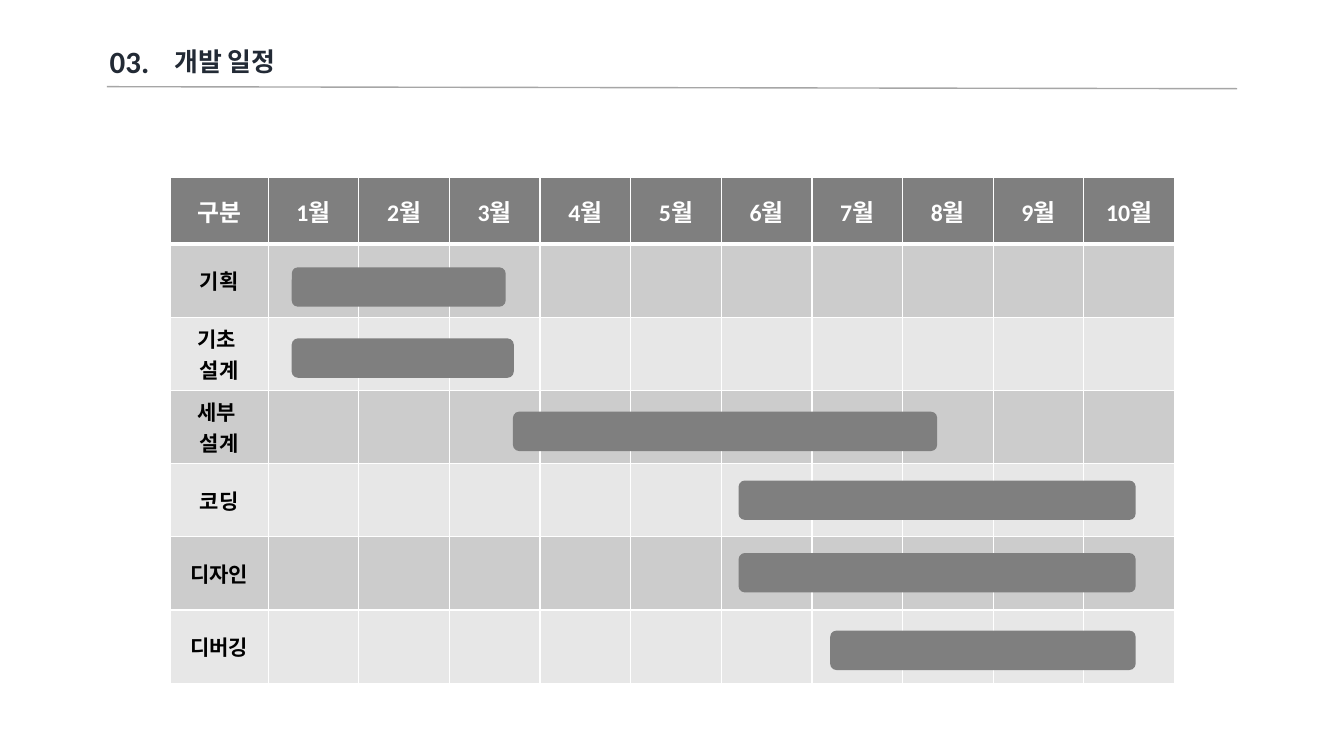
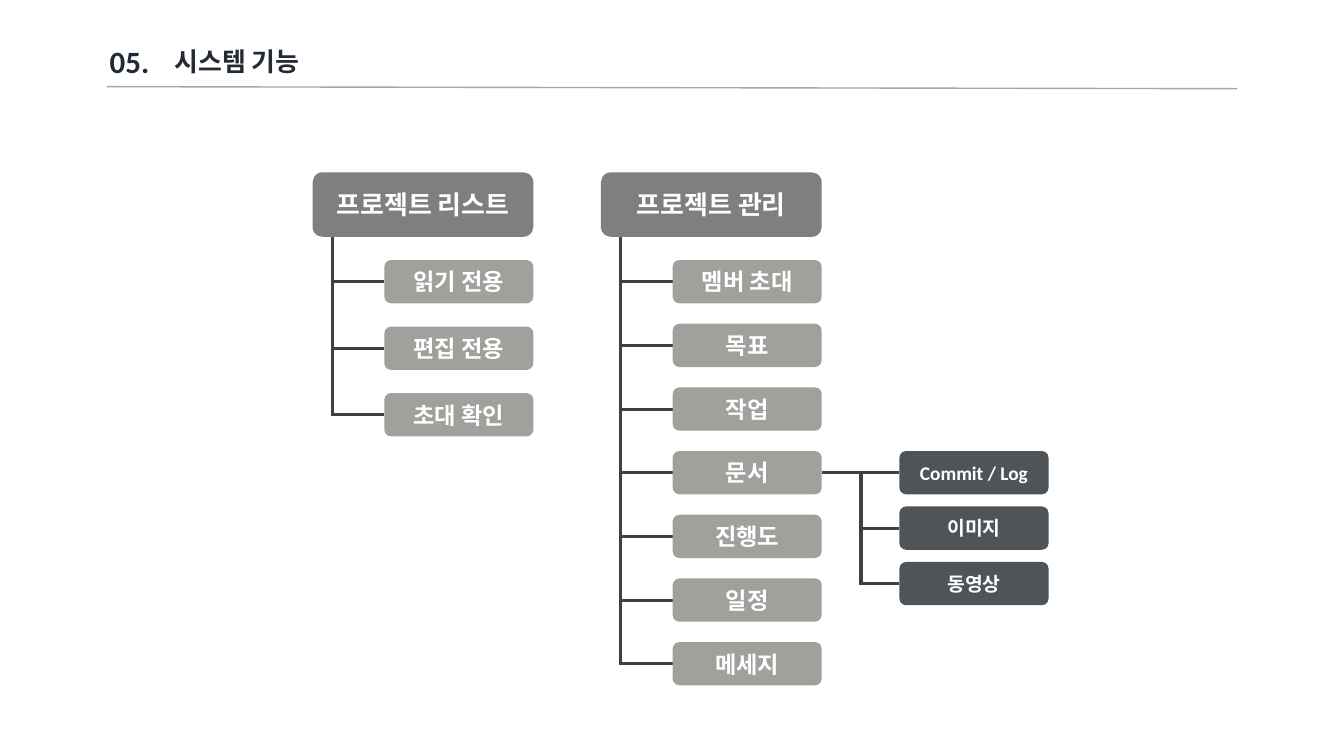
from lxml.etree import SubElement
from pptx import Presentation
from pptx.dml.color import RGBColor
from pptx.enum.shapes import MSO_CONNECTOR, MSO_SHAPE
from pptx.enum.text import MSO_ANCHOR, MSO_AUTO_SIZE, PP_ALIGN
from pptx.oxml.ns import qn
from pptx.util import Inches, Pt

WHITE = RGBColor(0xFF, 0xFF, 0xFF)
BLACK = RGBColor(0, 0, 0)
NAVY = RGBColor(0x22, 0x2A, 0x35)
GRAY = RGBColor(0x7F, 0x7F, 0x7F)
STONE = RGBColor(0xA0, 0xA1, 0x9D)
SLATE = RGBColor(0x4F, 0x54, 0x58)
RULE = RGBColor(0xA6, 0xA6, 0xA6)
WIRE = RGBColor(0x40, 0x40, 0x40)
BANDS = RGBColor(0xCC, 0xCC, 0xCC), RGBColor(0xE7, 0xE7, 0xE7)
LATIN, HANGUL = "Calibri", "Noto Sans CJK KR"
WIDE, HIGH = 13.33, 7.5
LEAF = 0.43


def write(frame, text, size, color, face=LATIN, align=PP_ALIGN.CENTER):
    """Fill a text frame with bold paragraphs of one style."""
    frame.text = text
    for para in frame.paragraphs:
        para.alignment = align
        font = para.font
        font.name, font.size, font.bold = face, Pt(size), True
        font.color.rgb = color


def line(slide, start, end, color=WIRE, width=2.25):
    """Draw a straight line between two points."""
    ends = [Inches(n) for n in (*start, *end)]
    wire = slide.shapes.add_connector(MSO_CONNECTOR.STRAIGHT, *ends)
    wire.line.color.rgb = color
    wire.line.width = Pt(width)
    SubElement(wire._element.spPr, qn("a:effectLst"))


def block(slide, box, fill, text="", size=14):
    """Draw a rounded block, with a label if one is given."""
    shape = slide.shapes.add_shape(MSO_SHAPE.ROUNDED_RECTANGLE, *map(Inches, box))
    shape.adjustments[0] = 0.156
    shape.shadow.inherit = False
    shape.fill.solid()
    shape.fill.fore_color.rgb = fill
    shape.line.fill.background()
    if text:
        frame = shape.text_frame
        frame.vertical_anchor = MSO_ANCHOR.MIDDLE
        write(frame, text, size, WHITE)


def start(deck, number, title):
    """Add a slide with its numbered title and rule."""
    slide = deck.slides.add_slide(deck.slide_layouts.get_by_name("Title Only"))
    head = slide.shapes.title
    head.left, head.top, head.width, head.height = map(Inches, (1.63, 0.4, 2.53, 0.41))
    frame = head.text_frame
    frame.auto_size = MSO_AUTO_SIZE.NONE
    frame.vertical_anchor = MSO_ANCHOR.MIDDLE
    write(frame, title, 18.5, NAVY, HANGUL, PP_ALIGN.LEFT)
    label = slide.shapes.add_textbox(*map(Inches, (0.97, 0.37, 0.63, 0.47)))
    label.text_frame.margin_left = label.text_frame.margin_right = Inches(0.09)
    write(label.text_frame, number, 22.1, NAVY)
    line(slide, (1.06, 0.86), (12.27, 0.88), RULE, 1)
    return slide


def edge(cell, widths):
    """Give a cell white borders of the given widths."""
    for side, width in zip("LRTB", widths):
        rim = SubElement(cell._tc.get_or_add_tcPr(), qn(f"a:ln{side}"), w=str(Pt(width)))
        fill = SubElement(rim, qn("a:solidFill"))
        SubElement(fill, qn("a:srgbClr"), val=str(WHITE))


def grid(slide, box, widths, heights, rows):
    """Draw the banded table of months and tasks."""
    table = slide.shapes.add_table(len(rows), len(widths), *map(Inches, box)).table
    for col, width in zip(table.columns, widths):
        col.width = Inches(width)
    for r, (height, texts) in enumerate(zip(heights, rows)):
        table.rows[r].height = Inches(height)
        for c, text in enumerate(texts):
            cell = table.cell(r, c)
            edge(cell, (1, 1, 3 if r == 1 else 1, 3 if r == 0 else 1))
            cell.fill.solid()
            cell.fill.fore_color.rgb = BANDS[(r - 1) % 2] if r else GRAY
            cell.vertical_anchor = MSO_ANCHOR.MIDDLE
            cell.margin_left = cell.margin_right = Inches(0.08)
            cell.margin_top = cell.margin_bottom = Inches(0.04)
            if text:
                write(cell.text_frame, text, 15 if r else 17, BLACK if r else WHITE)


def gantt(slide, box, months, tasks):
    """Draw a schedule; each task has first and last month and drop in its row."""
    x, y, wide, high = box
    side, top = 0.97, 0.66
    step = (wide - side) / months
    row = (high - top) / len(tasks)
    rows = [["구분"] + [f"{m}월" for m in range(1, months + 1)]]
    rows += [[task[0]] + [""] * months for task in tasks]
    grid(slide, box, [side] + [step] * months, [top] + [row] * len(tasks), rows)
    for i, (_, first, last, drop) in enumerate(tasks):
        bar = x + side + first * step, y + top + (i + drop) * row
        block(slide, (*bar, (last - first) * step, 0.39), GRAY)


def stack(slide, box, names, fill, size, trunk, top):
    """Space blocks evenly down a box and wire them to a trunk."""
    x, y, wide, high = box
    step = (high - LEAF) / (len(names) - 1)
    mids = [y + i * step + LEAF / 2 for i in range(len(names))]
    line(slide, (trunk, top), (trunk, mids[-1] + 0.015))
    for name, mid in zip(names, mids):
        line(slide, (x, mid), (trunk, mid))
        block(slide, (x, mid - LEAF / 2, wide, LEAF), fill, name, size)
    return mids


def tree(slide, box, title, names):
    """Draw a head block with its branch of functions."""
    x, y, wide, high = box
    head, gap, leaf = 0.64, 0.23, 0.675 * wide
    block(slide, (x, y, wide, head), GRAY, title, 18.5)
    body = x + wide - leaf, y + head + gap, leaf, high - head - gap
    return stack(slide, body, names, STONE, 16.6, x + 0.09 * wide, y + head)


def plan(deck):
    """Build the schedule slide."""
    slide = start(deck, "03.", "개발 일정")
    tasks = [
        ("기획", 0.26, 2.62, 0.32),
        ("기초 \n설계", 0.26, 2.71, 0.29),
        ("세부 \n설계", 2.7, 7.38, 0.29),
        ("코딩", 5.19, 9.57, 0.23),
        ("디자인", 5.19, 9.57, 0.22),
        ("디버깅", 6.2, 9.57, 0.28),
    ]
    gantt(slide, (1.69, 1.76, 9.96, 5.02), 10, tasks)


def system(deck):
    """Build the system function slide."""
    slide = start(deck, "05.", "시스템 기능")
    tree(slide, (3.1, 1.71, 2.19, 2.62), "프로젝트 리스트",
         ["읽기 전용", "편집 전용", "초대 확인"])
    names = ["멤버 초대", "목표", "작업", "문서", "진행도", "일정", "메세지"]
    mids = tree(slide, (5.96, 1.71, 2.19, 5.09), "프로젝트 관리", names)
    mid, trunk = mids[names.index("문서")], 8.54
    line(slide, (8.15, mid), (trunk, mid))
    stack(slide, (8.92, mid - LEAF / 2, 1.48, 1.53),
          ["Commit / Log", "이미지", "동영상"], SLATE, 13.8, trunk, mid)


deck = Presentation()
deck.slide_width, deck.slide_height = Inches(WIDE), Inches(HIGH)
plan(deck)
system(deck)
deck.save("out.pptx")
